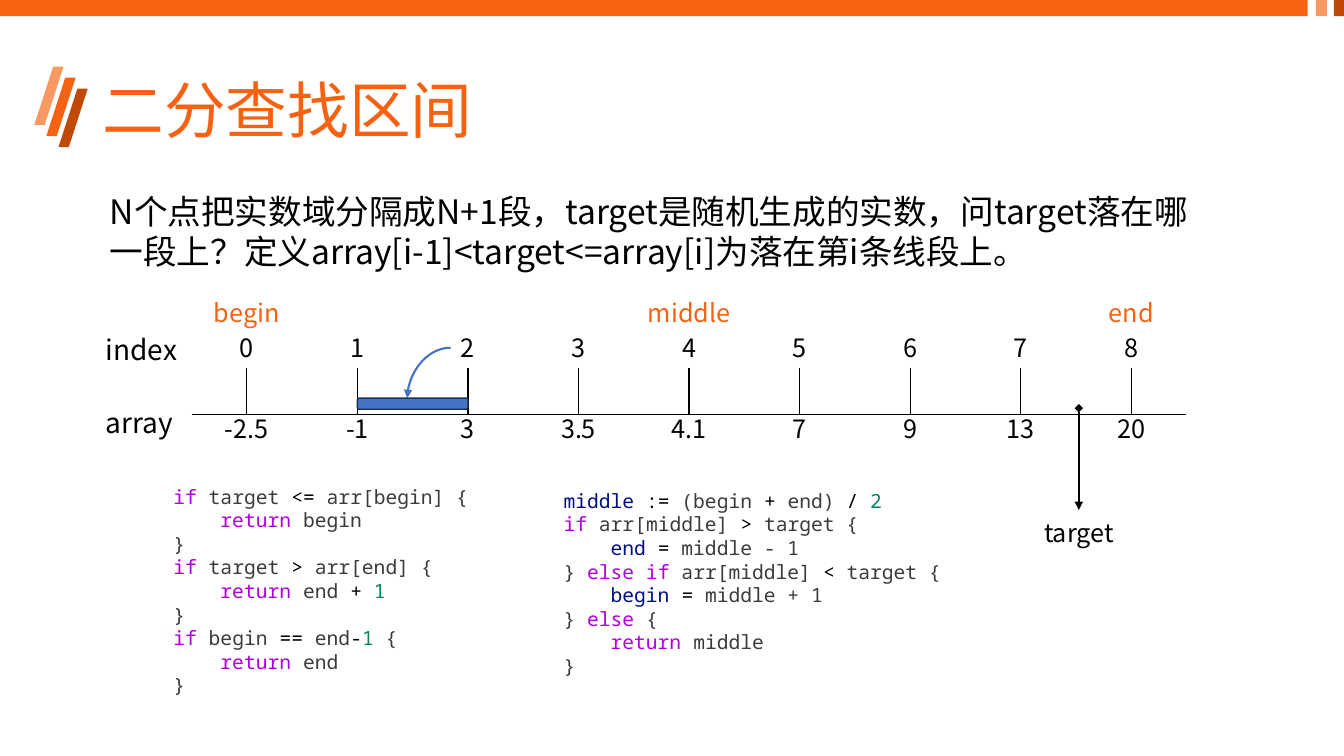
from lxml import etree
from pptx import Presentation
from pptx import util as u
from pptx.dml.color import RGBColor
from pptx.enum import shapes, text
from pptx.oxml.ns import qn

# Content
SANS, MONO = "Noto Sans CJK SC", "Noto Sans Mono"
ORANGE, PEACH, RUST = "F76212", "FA9862", "C14907"
BLACK, BLUE, NAVY_EDGE = "000000", "4472C4", "1E3256"
KEY, VAR, NUM, CODE = "AF00DB", "001080", "098658", "3B3B3B"

TITLE = "二分查找区间"
QUESTION = ("N个点把实数域分隔成N+1段，target是随机生成的实数，问target落在哪一段上？"
            "定义array[i-1]<target<=array[i]为落在第i条线段上。")
ARRAY = ["-2.5", "-1", "3", "3.5", "4.1", "7", "9", "13", "20"]
POINTERS = {0: "begin", 4: "middle", 8: "end"}
ROW_NAMES = [("index", 3.25, 0.92), ("array", 3.97, 0.87)]  # name, top, width

EDGE_CASES = [
    [("if", KEY), (" target ", CODE), ("<= ", BLACK), ("arr[begin] {", CODE)],
    [("    return", KEY), (" begin", CODE)],
    [("}", CODE)],
    [("if", KEY), (" target ", CODE), ("> ", BLACK), ("arr[end] {", CODE)],
    [("    return", KEY), (" end ", CODE), ("+ ", BLACK), ("1", NUM)],
    [("}", CODE)],
    [("if", KEY), (" begin ", CODE), ("==", BLACK), (" end", CODE), ("-", BLACK),
     ("1", NUM), (" {", CODE)],
    [("    return", KEY), (" end", CODE)],
    [("}", CODE)],
]
HALVING = [
    [("middle ", VAR), (":=", BLACK), (" (begin ", CODE), ("+", BLACK),
     (" end) ", CODE), ("/ ", BLACK), ("2", NUM)],
    [("if ", KEY), ("arr[middle] ", CODE), (">", BLACK), (" target {", CODE)],
    [("    end ", VAR), ("=", BLACK), (" middle - 1", CODE)],
    [("} ", CODE), ("else if ", KEY), ("arr[middle] ", CODE), ("<", BLACK),
     (" target {", CODE)],
    [("    begin ", VAR), ("=", BLACK), (" middle + 1", CODE)],
    [("} ", CODE), ("else", KEY), (" {", CODE)],
    [("    return", KEY), (" middle", CODE)],
    [("}", CODE)],
]

# Number line grid: one column per gap, half a column beyond each end
AXIS_LEFT, AXIS_TOP, AXIS_WIDTH, TICK_HEIGHT = 1.9, 3.65, 9.87, 0.46
GAP = AXIS_WIDTH / len(ARRAY)
TICKS = [AXIS_LEFT + GAP * (i + 0.5) for i in range(len(ARRAY))]
LABEL_HEIGHT = 0.4
CODE_INDENT = 0.93

prs = Presentation()
prs.slide_width, prs.slide_height = u.Inches(13.33), u.Inches(7.5)
slide = prs.slides.add_slide(prs.slide_layouts[6])


def color(hex_value):
    return RGBColor.from_string(hex_value)


def inches(*lengths):
    return [u.Inches(length) for length in lengths]


def style(run, size, hex_value, face=SANS):
    run.font.size, run.font.name = u.Pt(size), face
    run.font.color.rgb = color(hex_value)
    etree.SubElement(run.font._element, qn("a:ea")).set("typeface", face)


def add_frame(left, top, width, height, wrap=True):
    frame = slide.shapes.add_textbox(*inches(left, top, width, height)).text_frame
    frame.word_wrap = wrap
    if not wrap:
        frame.auto_size = text.MSO_AUTO_SIZE.SHAPE_TO_FIT_TEXT
    return frame


def add_text(content, box, size, hex_value=BLACK, wrap=True):
    frame = add_frame(*box, wrap=wrap)
    frame.text = content
    style(frame.paragraphs[0].runs[0], size, hex_value)
    return frame


def add_label(content, center, top, hex_value=BLACK):
    width = 0.22 + 0.15 * len(content)
    frame = add_text(content, (center - width / 2, top, width, LABEL_HEIGHT), 18,
                     hex_value, wrap=False)
    frame.paragraphs[0].alignment = text.PP_ALIGN.CENTER


def add_code(lines, box):
    frame = add_frame(*box)
    frame.margin_left = u.Inches(0.1 + CODE_INDENT)
    for number, line in enumerate(lines):
        paragraph = frame.add_paragraph() if number else frame.paragraphs[0]
        for piece, hex_value in line:
            run = paragraph.add_run()
            run.text = piece
            style(run, 14, hex_value, MONO)


def add_block(kind, box, fill, edge=None):
    block = slide.shapes.add_shape(kind, *inches(*box))
    block.shadow.inherit = False
    block.fill.solid()
    block.fill.fore_color.rgb = color(fill)
    if edge:
        block.line.color.rgb, block.line.width = color(edge), u.Pt(1)
    else:
        block.line.fill.background()
    return block


def add_arrow(kind, start, end, hex_value, width, head=None):
    arrow = slide.shapes.add_connector(kind, *inches(*start, *end))
    arrow.line.color.rgb, arrow.line.width = color(hex_value), u.Pt(width)
    line = arrow.line._get_or_add_ln()
    if head:
        etree.SubElement(line, qn("a:headEnd")).set("type", head)
    etree.SubElement(line, qn("a:tailEnd")).set("type", "triangle")
    etree.SubElement(arrow._element.spPr, qn("a:effectLst"))
    return arrow


def set_borders(cell, sides):
    properties = cell._tc.get_or_add_tcPr()
    for index, side in enumerate(("lnL", "lnR", "lnT", "lnB")):
        border = etree.Element(qn(f"a:{side}"), w=str(u.Pt(1)))
        if side[-1] in sides:
            fill = etree.SubElement(border, qn("a:solidFill"))
            etree.SubElement(fill, qn("a:srgbClr")).set("val", BLACK)
        else:
            etree.SubElement(border, qn("a:noFill"))
        properties.insert(index, border)


# Top band and title mark
for left, width, fill in [(0, 12.97, ORANGE), (13.05, 0.11, PEACH), (13.23, 0.11, RUST)]:
    add_block(shapes.MSO_SHAPE.RECTANGLE, (left, 0, width, 0.16), fill)
for step, fill in enumerate((PEACH, ORANGE, RUST)):
    stripe = add_block(shapes.MSO_SHAPE.PARALLELOGRAM,
                       (0.34 + 0.12 * step, 0.66 + 0.11 * step, 0.29, 0.58), fill)
    stripe.adjustments[0] = 0.646

# Title and question
heading = add_text(TITLE, (0.92, 0.4, 11.5, 1.45), 44, ORANGE)
heading.vertical_anchor = text.MSO_ANCHOR.MIDDLE
heading.paragraphs[0].line_spacing = 0.9
add_text(QUESTION, (0.99, 1.84, 10.96, 0.91), 24)

# Number line as a one-row table with open ends
columns = len(ARRAY) + 1
axis = slide.shapes.add_table(
    1, columns, *inches(AXIS_LEFT, AXIS_TOP, AXIS_WIDTH, TICK_HEIGHT)).table
axis.first_row = axis.horz_banding = False
for i in range(columns):
    is_first, is_last = i == 0, i == columns - 1
    axis.columns[i].width = u.Inches(GAP / 2 if is_first or is_last else GAP)
    segment = axis.cell(0, i)
    segment.fill.background()
    set_borders(segment, "RB" if is_first else "LB" if is_last else "LRB")

# Indices, values and pointers
for i, value in enumerate(ARRAY):
    add_label(str(i), TICKS[i], 3.25)
    add_label(value, TICKS[i], 4.05)
for i, pointer in POINTERS.items():
    add_label(pointer, TICKS[i], 2.9, ORANGE)
for name, top, width in ROW_NAMES:
    add_text(name, (0.95, top, width, 0.44), 20, wrap=False)

# Target between indices 7 and 8
add_arrow(shapes.MSO_CONNECTOR.STRAIGHT, (10.7, 4.05), (10.7, 5.06), BLACK, 1, "diamond")
add_label("target", 10.7, 5.08)

# Segment belonging to index 2
bend = add_arrow(shapes.MSO_CONNECTOR.CURVE, (4.47, 3.45), (4.04, 3.95), BLUE, 1.5)
bend._element.spPr.find(qn("a:prstGeom")).set("prst", "curvedConnector2")
add_block(shapes.MSO_SHAPE.ROUNDED_RECTANGLE, (TICKS[1], 3.95, GAP, 0.11), BLUE, NAVY_EDGE)

# Code
add_code(HALVING, (4.56, 4.8, 6.67, 1.99))
add_code(EDGE_CASES, (0.69, 4.76, 6.67, 2.22))

prs.save("out.pptx")
